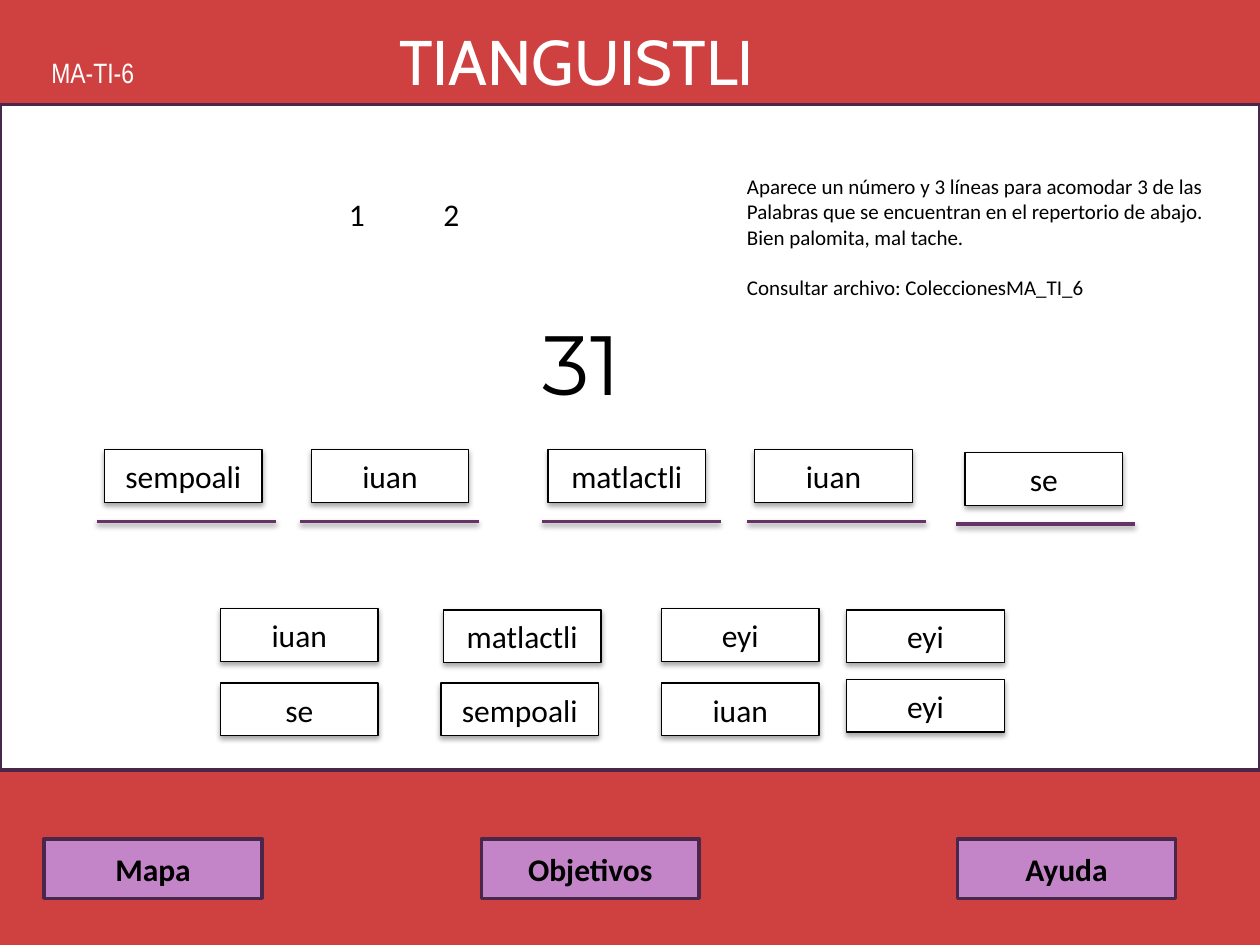
"""Build the TIANGUISTLI number-word exercise slide."""
import lxml.etree
import pptx
import pptx.dml.color
import pptx.enum.shapes
import pptx.enum.text
import pptx.oxml.ns
import pptx.util

Inches = pptx.util.Inches
Pt = pptx.util.Pt
RECTANGLE = pptx.enum.shapes.MSO_SHAPE.RECTANGLE
STRAIGHT = pptx.enum.shapes.MSO_CONNECTOR.STRAIGHT
CENTER = pptx.enum.text.PP_ALIGN.CENTER
qn = pptx.oxml.ns.qn


def color(hex_value):
    return pptx.dml.color.RGBColor.from_string(hex_value)


def add_box(left, top, width, height, fill, outline, weight, label="", bold=False):
    box = page.shapes.add_shape(
        RECTANGLE, Inches(left), Inches(top), Inches(width), Inches(height))
    box.shadow.inherit = False
    box.fill.solid()
    box.fill.fore_color.rgb = color(fill)
    box.line.color.rgb = color(outline)
    box.line.width = Pt(weight)
    if label:
        box.text_frame.vertical_anchor = pptx.enum.text.MSO_ANCHOR.MIDDLE
        para = box.text_frame.paragraphs[0]
        para.alignment = CENTER
        span = para.add_run()
        span.text = label
        span.font.name = "Calibri"
        span.font.size = Pt(18)
        span.font.bold = bold
        span.font.color.rgb = color("000000")
    return box


deck = pptx.Presentation()
deck.slide_width = Inches(10)
deck.slide_height = Inches(7.5)
page = deck.slides.add_slide(deck.slide_layouts[6])
page.background.fill.solid()
page.background.fill.fore_color.rgb = color("CF4040")

add_box(0, 0.83, 10, 5.28, "FFFFFF", "4B264B", 2)
for left, label in [(0.35, "Mapa"), (3.82, "Objetivos"), (7.6, "Ayuda")]:
    add_box(left, 6.66, 1.73, 0.47, "C384C8", "4B264B", 2, label, True)

instructions = [
    "Aparece un número y 3 líneas para acomodar 3 de las",
    "Palabras que se encuentran en el repertorio de abajo.",
    "Bien palomita, mal tache.",
    "Consultar archivo: ColeccionesMA_TI_6",
]
texts = [
    (3.07, 0.13, 3.57, 0.71, ["TIANGUISTLI"], "Cabin", 36, "FFFFFF", False),
    (0.31, 0.39, 1.3, 0.37, ["MA-TI-6"], "Arial Narrow", 16, "FFFFFF", True),
    (2.67, 1.5, 0.33, 0.4, ["1"], "Calibri", 18, "000000", False),
    (3.42, 1.5, 0.33, 0.4, ["2"], "Calibri", 18, "000000", False),
    (5.83, 1.33, 3.86, 1.41, instructions, "Calibri", 12, "000000", False),
    (4.21, 2.42, 1.1, 0.91, ["31"], "Montserrat", 48, "000000", False),
]
for left, top, width, height, lines, font, size, ink, wrap in texts:
    box = page.shapes.add_textbox(
        Inches(left), Inches(top), Inches(width), Inches(height))
    frame = box.text_frame
    frame.word_wrap = wrap
    frame.auto_size = pptx.enum.text.MSO_AUTO_SIZE.SHAPE_TO_FIT_TEXT
    for index, line in enumerate(lines):
        para = frame.paragraphs[0] if index == 0 else frame.add_paragraph()
        if line.startswith("Consultar"):
            para.space_before = Pt(14.6)
        span = para.add_run()
        span.text = line
        span.font.name = font
        span.font.size = Pt(size)
        span.font.color.rgb = color(ink)

shadowed = []
answer_lines = [(0.77, 4.14), (2.38, 4.14), (4.3, 4.14), (5.93, 4.14), (7.59, 4.16)]
for left, top in answer_lines:
    line = page.shapes.add_connector(
        STRAIGHT, Inches(left), Inches(top), Inches(left + 1.42), Inches(top))
    line.line.color.rgb = color("663366")
    line.line.width = Pt(2)
    properties = line._element.spPr
    effects = lxml.etree.SubElement(properties, qn("a:effectLst"))
    shadowed.append((effects, 1.6, 38))

word_cards = [
    (0.83, 3.57, "sempoali"), (2.47, 3.57, "iuan"), (4.35, 3.57, "matlactli"),
    (5.99, 3.57, "iuan"), (7.66, 3.59, "se"),
    (1.75, 4.83, "iuan"), (3.52, 4.84, "matlactli"),
    (5.25, 4.83, "eyi"), (6.72, 4.84, "eyi"),
    (1.75, 5.42, "se"), (3.5, 5.42, "sempoali"),
    (5.25, 5.42, "iuan"), (6.72, 5.39, "eyi"),
]
for left, top, word in word_cards:
    card = add_box(left, top, 1.25, 0.42, "FFFFFF", "000000", 0.75, word)
    shadowed.append((card._element.spPr.find(qn("a:effectLst")), 1.8, 35))

for effects, distance, opacity in shadowed:
    shadow = lxml.etree.SubElement(
        effects, qn("a:outerShdw"), blurRad=str(Pt(3.1)), dist=str(Pt(distance)),
        dir="5400000", rotWithShape="0")
    tint = lxml.etree.SubElement(shadow, qn("a:srgbClr"), val="000000")
    lxml.etree.SubElement(tint, qn("a:alpha"), val=str(opacity * 1000))

deck.save("out.pptx")
